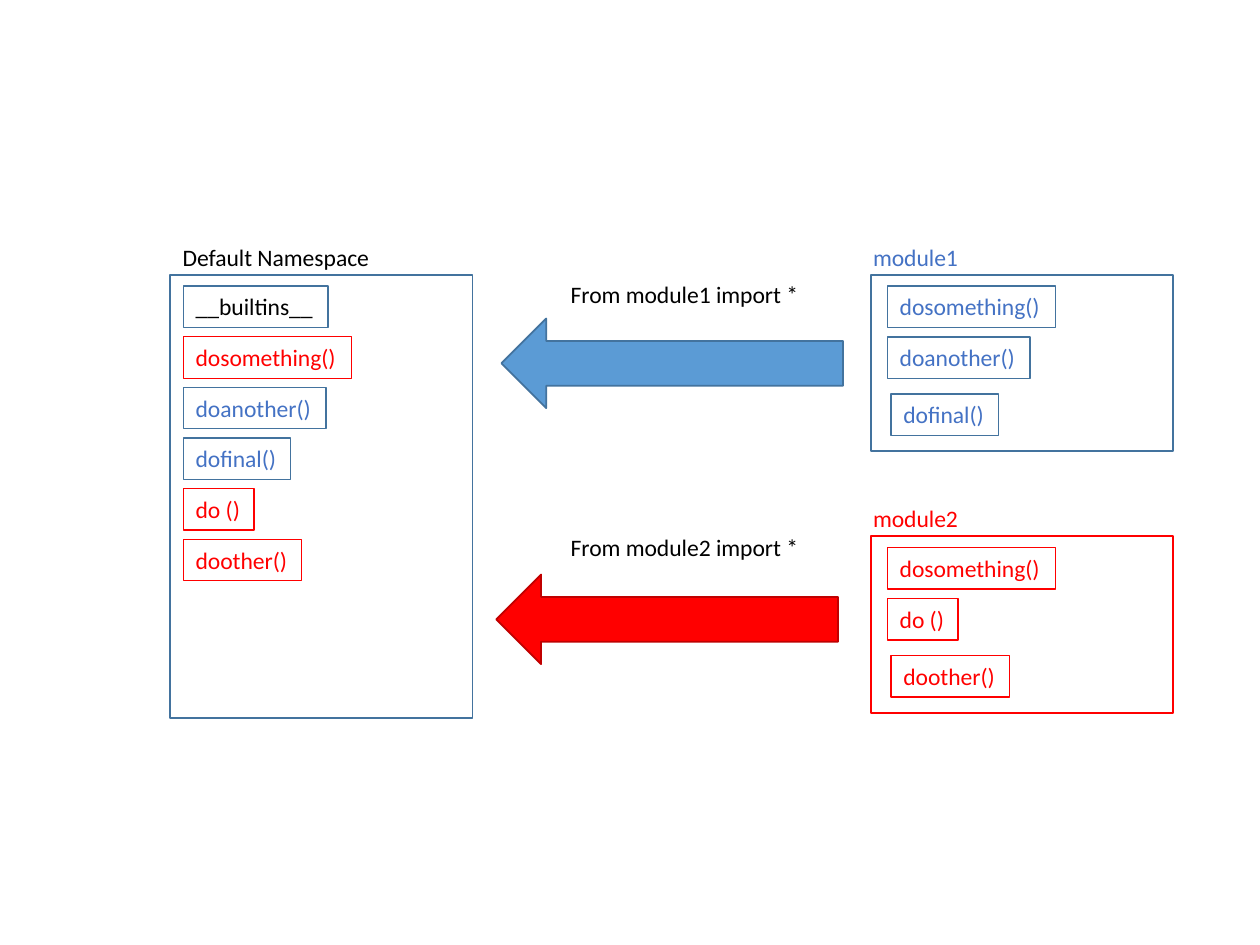
from pptx import Presentation
from pptx.dml.color import RGBColor
from pptx.enum.shapes import MSO_SHAPE
from pptx.enum.text import MSO_ANCHOR, MSO_AUTO_SIZE, PP_ALIGN
from pptx.util import Pt

RECTANGLE, ARROW = MSO_SHAPE.RECTANGLE, MSO_SHAPE.RIGHT_ARROW
FIT_SHAPE = MSO_AUTO_SIZE.SHAPE_TO_FIT_TEXT
TOP, LEFT = MSO_ANCHOR.TOP, PP_ALIGN.LEFT

BLACK = RGBColor(0x00, 0x00, 0x00)
BLUE_TEXT = RGBColor(0x44, 0x72, 0xC4)
BLUE_LINE = RGBColor(0x43, 0x73, 0x9E)
BLUE_FILL = RGBColor(0x5B, 0x9B, 0xD5)
RED = RGBColor(0xFF, 0x00, 0x00)
DARK_RED = RGBColor(0xC0, 0x00, 0x00)

FONT, TEXT_SIZE = "Calibri", 13.5
TEXT_HEIGHT = 23.7
FRAME_WIDTH = 172.8
LABEL_RISE = 22          # label top above its frame
FIRST_ITEM = 6.5         # first name below the frame top
NAME_STEP = 28.95        # pitch of the names in the default namespace
MODULE_ITEMS = ((9.4, 6.5), (9.4, 35.6), (11.5, 68.1))  # offsets in a module

NAME_WIDTHS = {
    "__builtins__": 82.8,
    "dosomething()": 96,
    "doanother()": 81.6,
    "dofinal()": 61.3,
    "do ()": 40.4,
    "doother()": 67.8,
}


def set_text(shape, text, color, wrap=False):
    frame = shape.text_frame
    frame.text = text
    frame.word_wrap = wrap
    frame.auto_size = FIT_SHAPE
    frame.vertical_anchor = TOP
    para = frame.paragraphs[0]
    para.alignment = LEFT
    font = para.runs[0].font
    font.name, font.size = FONT, Pt(TEXT_SIZE)
    font.color.rgb = color


def add_outline(page, kind, left, top, width, height, line, weight=1, fill=None):
    shape = page.shapes.add_shape(kind, Pt(left), Pt(top), Pt(width), Pt(height))
    shape.shadow.inherit = False
    if fill is None:
        shape.fill.background()
    else:
        shape.fill.solid()
        shape.fill.fore_color.rgb = fill
    shape.line.color.rgb = line
    shape.line.width = Pt(weight)
    return shape


def add_label(page, text, left, top, width, color, wrap=False):
    box = page.shapes.add_textbox(Pt(left), Pt(top), Pt(width), Pt(TEXT_HEIGHT))
    set_text(box, text, color, wrap)


def add_name(page, name, left, top, color, line):
    box = add_outline(page, RECTANGLE, left, top, NAME_WIDTHS[name],
                      TEXT_HEIGHT, line, 0.75)
    set_text(box, name, color)


def add_namespace(page, left, top):
    add_outline(page, RECTANGLE, left, top, FRAME_WIDTH, 253.4, BLUE_LINE)
    add_label(page, "Default Namespace", left, top - LABEL_RISE, 122.4, BLACK)
    names = (
        ("__builtins__", BLACK, BLUE_LINE),
        ("dosomething()", RED, RED),
        ("doanother()", BLUE_TEXT, BLUE_LINE),
        ("dofinal()", BLUE_TEXT, BLUE_LINE),
        ("do ()", RED, RED),
        ("doother()", RED, RED),
    )
    for row, (name, color, line) in enumerate(names):
        add_name(page, name, left + 7.4, top + FIRST_ITEM + row * NAME_STEP,
                 color, line)


def add_module(page, title, names, top, color, line):
    left = 497.6
    add_outline(page, RECTANGLE, left, top, FRAME_WIDTH, 100.8, line)
    add_label(page, title, left - 5.8, top - LABEL_RISE, 64, color)
    for name, (across, down) in zip(names, MODULE_ITEMS):
        add_name(page, name, left + across, top + down, color, line)


def add_import(page, text, text_top, left, top, fill, line):
    arrow = add_outline(page, ARROW, left, top, 195.2, 51.2, line, fill=fill)
    arrow.rotation = 180
    add_label(page, text, 319, text_top, 150.5, BLACK, wrap=True)


def main():
    deck = Presentation()
    deck.slide_width, deck.slide_height = Pt(720), Pt(540)
    page = deck.slides.add_slide(deck.slide_layouts[6])

    # Importing namespace on the left
    add_namespace(page, 97.3, 157)

    # Modules on the right
    add_module(page, "module1", ("dosomething()", "doanother()", "dofinal()"),
               157, BLUE_TEXT, BLUE_LINE)
    add_module(page, "module2", ("dosomething()", "do ()", "doother()"),
               306.5, RED, RED)

    # Import arrows between them
    add_import(page, "From module1 import *", 156.4, 286.5, 182,
               BLUE_FILL, BLUE_LINE)
    add_import(page, "From module2 import *", 301, 283.6, 328.3, RED, DARK_RED)

    deck.save("out.pptx")


if __name__ == "__main__":
    main()
